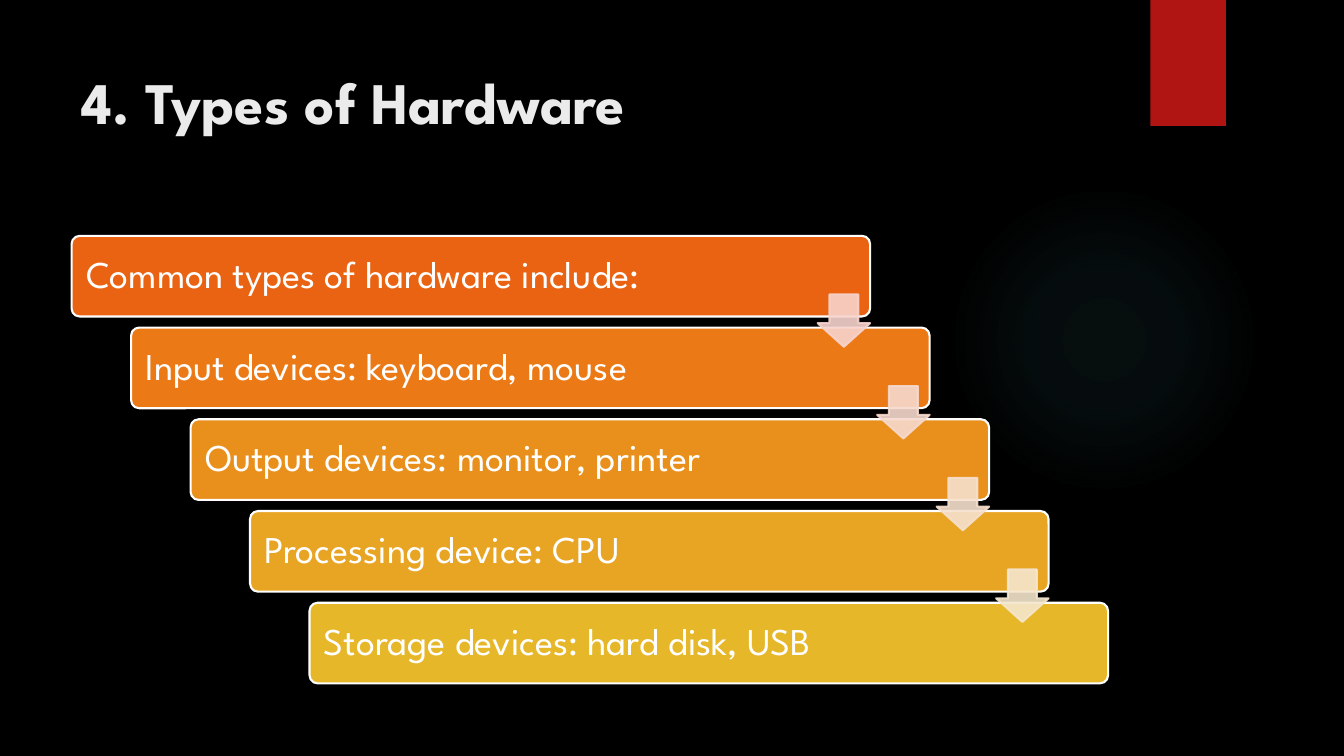
from lxml.etree import SubElement
from pptx import Presentation
from pptx.dml.color import RGBColor
from pptx.enum.shapes import MSO_SHAPE
from pptx.enum.text import MSO_ANCHOR, PP_ALIGN
from pptx.oxml import parse_xml
from pptx.oxml.ns import nsdecls, qn
from pptx.util import Inches, Pt

FONT = "League Spartan"
STEPS = [
    ("Common types of hardware include:", "EA6312"),
    ("Input devices: keyboard, mouse", "EB7A16"),
    ("Output devices: monitor, printer", "E9901C"),
    ("Processing device: CPU", "E8A423"),
    ("Storage devices: hard disk, USB", "E6B729"),
]
ARROW_COLORS = ["F7D3CC", "F6D9CD", "F6E0CD", "F5E6CD"]
STEP_LEFT, STEP_TOP = 0.71, 2.34
STEP_WIDTH, STEP_HEIGHT = 7.92, 0.8
SHIFT_X, SHIFT_Y = 0.59, 0.91
ARROW_SIZE = 0.52


def set_color(color_format, color):
    color_format.rgb = RGBColor.from_string(color)


def add_filled_shape(slide, kind, left, top, width, height, color, line=None):
    shape = slide.shapes.add_shape(
        kind, Inches(left), Inches(top), Inches(width), Inches(height))
    shape.shadow.inherit = False
    shape.fill.solid()
    set_color(shape.fill.fore_color, color)
    if line:
        shape.line.fill.solid()
        set_color(shape.line.color, line)
        shape.line.width = Pt(1.5)
    else:
        shape.line.fill.background()
    return shape


def write_text(text_frame, text, size, color, bold=False):
    paragraph = text_frame.paragraphs[0]
    paragraph.alignment = PP_ALIGN.LEFT
    paragraph.line_spacing = 0.9
    run = paragraph.add_run()
    run.text = text
    run.font.name = FONT
    run.font.size = Pt(size)
    run.font.bold = bold
    set_color(run.font.color, color)


def add_title(slide, text):
    title = slide.shapes.title
    title.left, title.top = Inches(0.71), Inches(0.5)
    title.width, title.height = Inches(10.29), Inches(1.53)
    text_frame = title.text_frame
    text_frame.vertical_anchor = MSO_ANCHOR.TOP
    text_frame.margin_top = Inches(0.23)
    write_text(text_frame, text, 42, "EBEBEB", bold=True)


def add_glow(slide):
    glow = add_filled_shape(
        slide, MSO_SHAPE.OVAL, 9.41, 1.83, 3.08, 3.08, "50B9C1")
    stops = "".join(
        f'<a:gs pos="{position * 1000}"><a:srgbClr val="50B9C1">'
        f'<a:alpha val="{alpha * 1000}"/></a:srgbClr></a:gs>'
        for position, alpha in [(0, 7), (36, 6), (69, 0), (100, 0)])
    gradient = parse_xml(
        f'<a:gradFill {nsdecls("a")} rotWithShape="1"><a:gsLst>{stops}</a:gsLst>'
        '<a:path path="circle"><a:fillToRect l="50000" t="50000" r="50000" '
        'b="50000"/></a:path></a:gradFill>')
    properties = glow._element.spPr
    properties.replace(properties.find(qn("a:solidFill")), gradient)


def add_ribbon(slide):
    ribbon = add_filled_shape(
        slide, MSO_SHAPE.RECTANGLE, 11.41, 0, 0.75, 1.25, "B01513")
    effects = ribbon._element.spPr.find(qn("a:effectLst"))
    shadow = SubElement(effects, qn("a:outerShdw"), blurRad=str(Pt(3)),
                        dist=str(Pt(2)), dir="5400000", rotWithShape="0")
    color = SubElement(shadow, qn("a:srgbClr"), val="000000")
    SubElement(color, qn("a:alpha"), val="45000")


def add_step(slide, index, text, color):
    step = add_filled_shape(
        slide, MSO_SHAPE.ROUNDED_RECTANGLE,
        STEP_LEFT + index * SHIFT_X, STEP_TOP + index * SHIFT_Y,
        STEP_WIDTH, STEP_HEIGHT, color, "FFFFFF")
    step.adjustments[0] = 0.1
    text_frame = step.text_frame
    text_frame.word_wrap = True
    text_frame.vertical_anchor = MSO_ANCHOR.MIDDLE
    text_frame.margin_left = text_frame.margin_right = Inches(0.12)
    write_text(text_frame, text, 27, "FFFFFF")


def add_arrow(slide, index, color):
    """Add the arrow that leads from a step to the one below it."""
    right = STEP_LEFT + index * SHIFT_X + STEP_WIDTH
    arrow = add_filled_shape(
        slide, MSO_SHAPE.DOWN_ARROW, right - ARROW_SIZE,
        STEP_TOP + 0.58 + index * SHIFT_Y, ARROW_SIZE, ARROW_SIZE, color, color)
    arrow.adjustments[0] = 0.55
    arrow.adjustments[1] = 0.45
    for color_element in arrow._element.spPr.iter(qn("a:srgbClr")):
        SubElement(color_element, qn("a:alpha"), val="90000")


def main():
    presentation = Presentation()
    presentation.slide_width = Inches(13.33)
    presentation.slide_height = Inches(7.5)
    slide = presentation.slides.add_slide(presentation.slide_layouts[5])
    slide.background.fill.solid()
    set_color(slide.background.fill.fore_color, "000000")

    add_glow(slide)
    add_ribbon(slide)
    add_title(slide, "4. Types of Hardware")
    for index, (text, color) in enumerate(STEPS):
        add_step(slide, index, text, color)
    for index, color in enumerate(ARROW_COLORS):
        add_arrow(slide, index, color)

    presentation.save("out.pptx")


if __name__ == "__main__":
    main()
